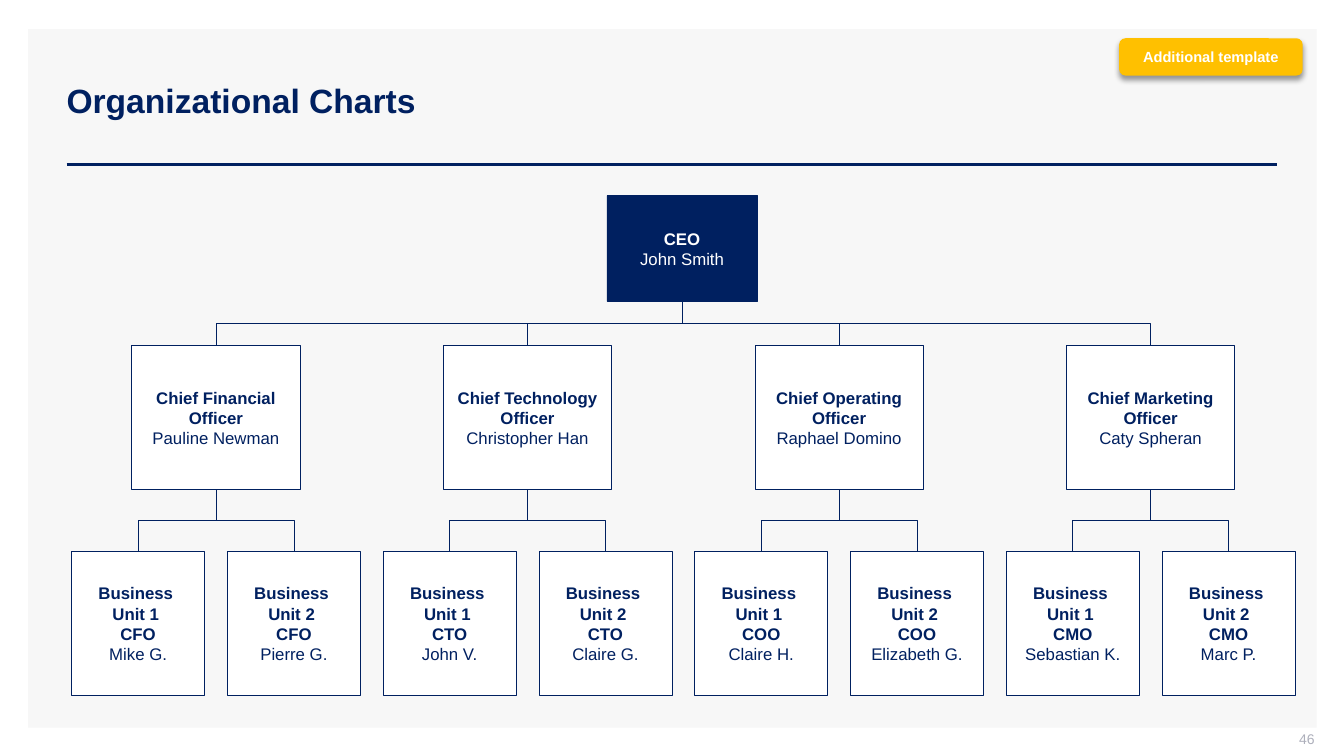
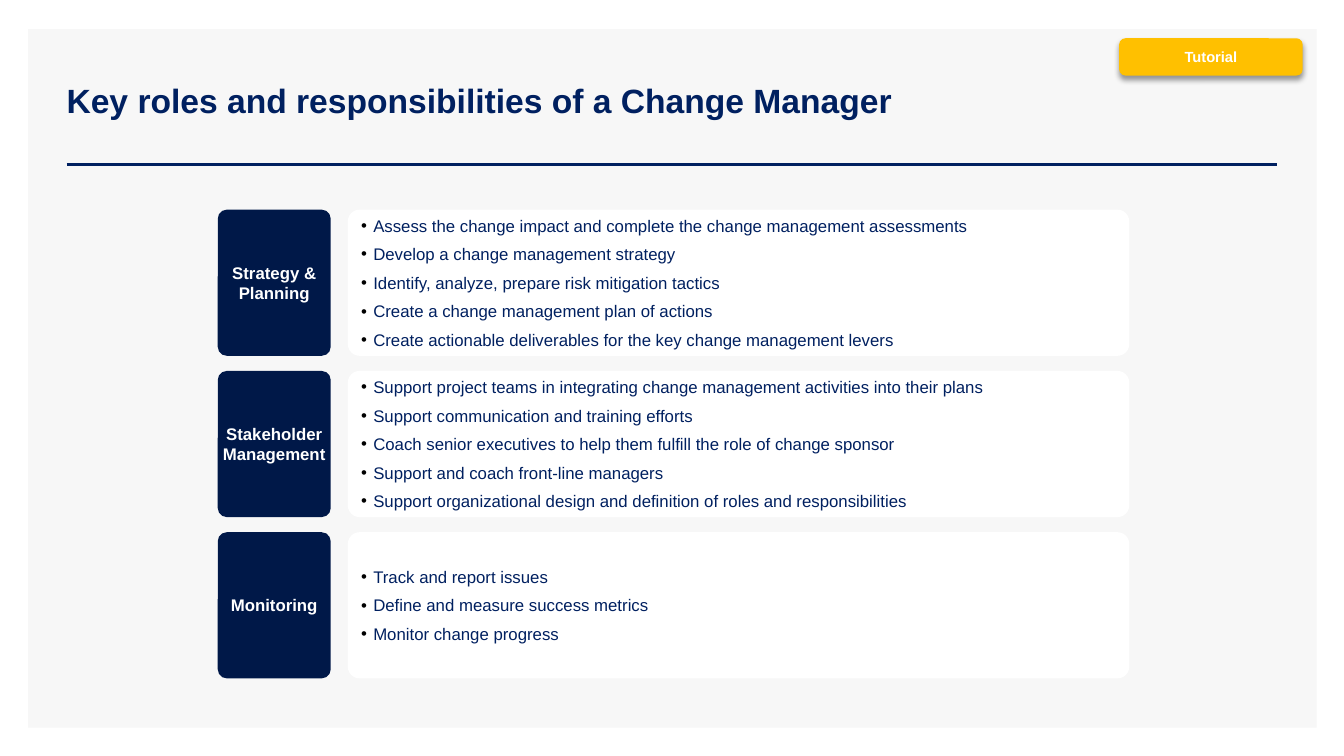
from lxml.etree import SubElement
from pptx import Presentation
from pptx.dml.color import RGBColor
from pptx.enum.shapes import MSO_CONNECTOR, MSO_SHAPE
from pptx.enum.text import MSO_ANCHOR, MSO_AUTO_SIZE, PP_ALIGN
from pptx.oxml.ns import qn
from pptx.util import Inches, Pt

FONT = "Arial"
COLORS = {
    "navy": "002060",
    "label": "001848",
    "panel": "F7F7F7",
    "white": "FFFFFF",
    "badge": "FFC000",
    "number": "ADAFBB",
    "black": "000000",
}

CHIEF_PITCH = 3.09
UNIT_PITCH = CHIEF_PITCH / 2
CHIEF_W, UNIT_W, BOX_H = 1.67, 1.32, 1.43
UNIT_LEFT = 0.71
CHIEF_LEFT = UNIT_LEFT + (UNIT_PITCH + UNIT_W - CHIEF_W) / 2

CHIEFS = [
    ("Chief Financial Officer", "Pauline Newman", "CFO", ("Mike G.", "Pierre G.")),
    ("Chief Technology Officer", "Christopher Han", "CTO", ("John V.", "Claire G.")),
    ("Chief Operating Officer", "Raphael Domino", "COO", ("Claire H.", "Elizabeth G.")),
    ("Chief Marketing Officer", "Caty Spheran", "CMO", ("Sebastian K.", "Marc P.")),
]

ROLES = [
    ("Strategy & Planning", [
        "Assess the change impact and complete the change management assessments",
        "Develop a change management strategy",
        "Identify, analyze, prepare risk mitigation tactics",
        "Create a change management plan of actions",
        "Create actionable deliverables for the key change management levers",
    ]),
    ("Stakeholder Management", [
        "Support project teams in integrating change management activities into their plans",
        "Support communication and training efforts",
        "Coach senior executives to help them fulfill the role of change sponsor",
        "Support and coach front-line managers",
        "Support organizational design and definition of roles and responsibilities",
    ]),
    ("Monitoring", [
        "Track and report issues",
        "Define and measure success metrics",
        "Monitor change progress",
    ]),
]


def rgb(name):
    return RGBColor.from_string(COLORS[name])


def setup_frame(tf, insets=(0.1, 0.05, 0.1, 0.05)):
    tf.word_wrap = True
    tf.auto_size = MSO_AUTO_SIZE.NONE
    tf.vertical_anchor = MSO_ANCHOR.MIDDLE
    tf.margin_left, tf.margin_top, tf.margin_right, tf.margin_bottom = map(Inches, insets)


def add_text(tf, text, size=12, color="navy", bold=False, align=PP_ALIGN.CENTER,
             space=0, bullet=False):
    """Write one paragraph, using the empty first one if it is still free."""
    p = tf.paragraphs[0] if not tf.text else tf.add_paragraph()
    p.text = text
    p.alignment = align
    p.space_before = p.space_after = Pt(space)
    for r in p.runs:
        r.font.name = FONT
        r.font.size = Pt(size)
        r.font.bold = bold
        r.font.color.rgb = rgb(color)
    if bullet:
        add_bullet(p)


def add_bullet(p):
    pPr = p._p.get_or_add_pPr()
    pPr.set("marL", str(Inches(0.12)))
    pPr.set("indent", str(-Inches(0.12)))
    clr = SubElement(pPr, qn("a:buClr"))
    SubElement(clr, qn("a:srgbClr"), val=COLORS["black"])
    SubElement(pPr, qn("a:buFont"), typeface=FONT)
    SubElement(pPr, qn("a:buChar"), char="•")


def add_box(s, x, y, w, h, fill, line=None, shape=MSO_SHAPE.RECTANGLE, adj=None,
            insets=(0.1, 0.05, 0.1, 0.05)):
    sp = s.shapes.add_shape(shape, Inches(x), Inches(y), Inches(w), Inches(h))
    sp.shadow.inherit = False
    sp.fill.solid()
    sp.fill.fore_color.rgb = rgb(fill)
    if line:
        sp.line.color.rgb = rgb(line)
        sp.line.width = Pt(0.5)
    else:
        sp.line.fill.background()
    if adj is not None:
        sp.adjustments[0] = adj
    setup_frame(sp.text_frame, insets)
    return sp


def style_connector(c, width):
    c.line.color.rgb = rgb("navy")
    c.line.width = Pt(width)
    SubElement(c._element.spPr, qn("a:effectLst"))


def add_branch(s, parent, child):
    """Elbow from the parent's bottom centre to the child's top centre."""
    x1, y1 = parent.left + parent.width // 2, parent.top + parent.height
    x2, y2 = child.left + child.width // 2, child.top
    c = s.shapes.add_connector(MSO_CONNECTOR.ELBOW, x1, y1, x2, y2)
    c.begin_connect(parent, 2)
    c.end_connect(child, 0)
    # A quarter turn makes the elbow leave downwards; width and height swap.
    c.width, c.height = y2 - y1, abs(x2 - x1)
    c.left = (x1 + x2 - c.width) // 2
    c.top = (y1 + y2 - c.height) // 2
    xfrm = c._element.spPr.xfrm
    xfrm.flipH, xfrm.flipV = x2 > x1, False
    xfrm.rot = 270 if x2 > x1 else 90
    style_connector(c, 0.5)


def add_org_box(s, x, y, w, h, role_lines, name, fill="white", color="navy", side=0.06):
    sp = add_box(s, x, y, w, h, fill, "navy", insets=(side, 0.02, side, 0.02))
    for text in role_lines:
        add_text(sp.text_frame, text, color=color, bold=True)
    add_text(sp.text_frame, name, color=color)
    return sp


def add_badge(s, text):
    sp = add_box(s, 11.1, 0.38, 1.82, 0.37, "badge", shape=MSO_SHAPE.ROUNDED_RECTANGLE)
    add_text(sp.text_frame, text, size=10.5, color="white", bold=True)
    effects = sp._element.spPr.find(qn("a:effectLst"))
    shadow = SubElement(effects, qn("a:outerShdw"), blurRad=str(Pt(4)), dist=str(Pt(3)),
                        dir="5400000", algn="t", rotWithShape="0")
    clr = SubElement(shadow, qn("a:srgbClr"), val=COLORS["black"])
    SubElement(clr, qn("a:alpha"), val="40000")


def add_page_number(s, number):
    tb = s.shapes.add_textbox(Inches(10.04), Inches(7.25), Inches(3), Inches(0.21))
    setup_frame(tb.text_frame, (0.1, 0, 0, 0.05))
    add_text(tb.text_frame, number, size=10, color="number", align=PP_ALIGN.RIGHT)


def style_layout(layout, s):
    """Place the title and move the panel and rule, drawn on s, into the layout."""
    title = layout.placeholders[0]
    title.left, title.top = Inches(0.56), Inches(0.4)
    title.width, title.height = Inches(12.11), Inches(1.19)
    panel = add_box(s, 0.28, 0.29, 12.78, 6.93, "panel")
    rule = s.shapes.add_connector(MSO_CONNECTOR.STRAIGHT, Inches(0.66), Inches(1.63),
                                  Inches(12.67), Inches(1.63))
    style_connector(rule, 2)
    for i, shape in enumerate((panel, rule)):
        layout.shapes._spTree.insert(2 + i, shape._element)


def add_slide(prs, layout, title):
    s = prs.slides.add_slide(layout)
    tf = s.shapes.title.text_frame
    setup_frame(tf)
    add_text(tf, title, size=24, bold=True, align=PP_ALIGN.LEFT)
    return s


def draw_org_chart(s):
    ceo = add_org_box(s, 6.02, 1.94, 1.49, 1.05, ["CEO"], "John Smith",
                      fill="navy", color="white", side=0.02)
    for i, (role, name, short, unit_heads) in enumerate(CHIEFS):
        chief = add_org_box(s, CHIEF_LEFT + i * CHIEF_PITCH, 3.43, CHIEF_W, BOX_H, [role], name)
        add_branch(s, ceo, chief)
        for j, head in enumerate(unit_heads):
            x = UNIT_LEFT + i * CHIEF_PITCH + j * UNIT_PITCH
            unit = add_org_box(s, x, 5.47, UNIT_W, BOX_H,
                               [f"Business \vUnit {j + 1} ", short], head)
            add_branch(s, chief, unit)


def draw_roles(s):
    rounded = {"shape": MSO_SHAPE.ROUNDED_RECTANGLE, "adj": 0.08}
    for i, (role, duties) in enumerate(ROLES):
        y = 2.08 + i * 1.6
        panel = add_box(s, 3.45, y, 7.75, 1.45, "white", **rounded)
        for duty in duties:
            add_text(panel.text_frame, duty, align=PP_ALIGN.LEFT, space=3, bullet=True)
        label = add_box(s, 2.16, y, 1.12, 1.45, "label", insets=(0, 0.05, 0, 0.05), **rounded)
        add_text(label.text_frame, role, color="white", bold=True, space=2)


def main():
    prs = Presentation()
    prs.slide_width, prs.slide_height = Inches(13.33), Inches(7.5)
    layout = prs.slide_layouts[5]

    s = add_slide(prs, layout, "Organizational Charts")
    style_layout(layout, s)
    add_page_number(s, "46")
    draw_org_chart(s)
    add_badge(s, "Additional template")

    s = add_slide(prs, layout, "Key roles and responsibilities of a Change Manager")
    draw_roles(s)
    add_badge(s, "Tutorial")

    prs.save("out.pptx")


if __name__ == "__main__":
    main()
